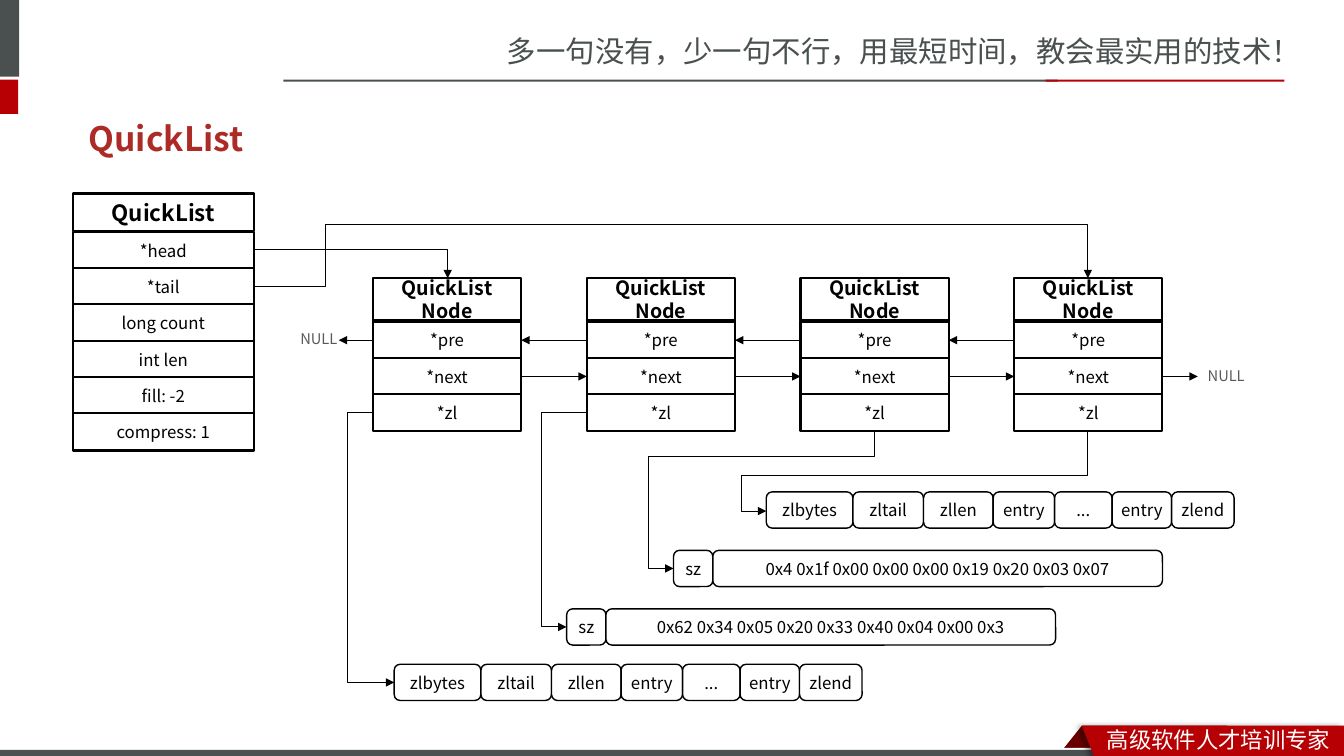
from dataclasses import dataclass
from itertools import accumulate, pairwise

from lxml import etree
from pptx import Presentation
from pptx.dml.color import RGBColor
from pptx.enum.shapes import MSO_CONNECTOR, MSO_SHAPE
from pptx.enum.text import MSO_ANCHOR, MSO_AUTO_SIZE, PP_ALIGN
from pptx.oxml.ns import qn
from pptx.util import Inches, Pt

RECT, ROUND, SLANT = MSO_SHAPE.RECTANGLE, MSO_SHAPE.ROUNDED_RECTANGLE, MSO_SHAPE.PARALLELOGRAM
STRAIGHT, ELBOW = MSO_CONNECTOR.STRAIGHT, MSO_CONNECTOR.ELBOW
LEFT, CENTER = PP_ALIGN.LEFT, PP_ALIGN.CENTER
MIDDLE, TOP = MSO_ANCHOR.MIDDLE, MSO_ANCHOR.TOP
SIDE_LEFT, SIDE_RIGHT = 1, 3

FONT = "Noto Sans CJK SC"
COLORS = {"ink": "000000", "paper": "FFFFFF", "slate": "49504F", "red": "B60004",
          "fold": "680000", "title": "AD2B26", "null": "595959"}
COLS, ROWS = 13.33, 7.5
UNIT = Inches(1)


@dataclass
class Box:
    x: float
    y: float
    w: float
    h: float

    def emu(self) -> list[int]:
        return [grid(v) for v in (self.x, self.y, self.w, self.h)]


@dataclass
class Style:
    size: float = 12
    color: str = "ink"
    bold: bool = False
    align: PP_ALIGN = CENTER


@dataclass
class Band:
    box: Box
    color: str
    kind: MSO_SHAPE = RECT


@dataclass
class Label:
    text: str
    box: Box
    style: Style


@dataclass
class Strip:
    x: float
    y: float
    widths: list[float]
    texts: list[str]


BOLD_HEAD, NODE_HEAD = Style(16, bold=True), Style(14, bold=True)
NULL = Style(10.5, "null", align=LEFT)

BANDS = [
    Band(Box(10.49, 7.2, 1.68, 0.3), "fold", SLANT),
    Band(Box(0, 7.42, COLS, 0.11), "paper"),
    Band(Box(-0.06, 0, 0.25, 0.76), "slate"),
    Band(Box(-0.06, 0.79, 0.24, 0.34), "red"),
    Band(Box(2.81, 0.79, 7.68, 0.02), "slate"),
    Band(Box(10.37, 0.79, 2.37, 0.02), "red"),
    Band(Box(0, 7.44, 10.99, 0.09), "slate"),
]
RIBBON = [(10.73, 7.2), (13.33, 7.2), (13.33, 7.54), (10.86, 7.53)]
LABELS = [
    Label("多一句没有，少一句不行，用最短时间，教会最实用的技术！", Box(4.93, 0.28, 8.41, 0.47),
          Style(21, "slate", align=LEFT)),
    Label("高级软件人才培训专家", Box(10.88, 7.15, 2.45, 0.37), Style(16, "paper", align=LEFT)),
    Label("NULL", Box(2.88, 3.22, 0.58, 0.28), NULL),
    Label("NULL", Box(11.88, 3.59, 0.58, 0.28), NULL),
]
LIST_ROWS = ["*head", "*tail", "long count", "int len", "fill: -2", "compress: 1"]
NODE_ROWS = ["*pre", "*next", "*zl"]
NODE_XS = [3.7 + 2.12 * i for i in range(4)]
ROW_H, ROW_STEP = 0.37, 0.36
ZL_WIDTHS = [0.86, 0.7, 0.69, 0.61, 0.57, 0.59, 0.62]
ZL_TEXTS = ["zlbytes", "zltail", "zllen", "entry", "...", "entry", "zlend"]
SZ_WIDTHS = [0.39, 4.46]
STRIPS = [
    Strip(7.6, 4.88, ZL_WIDTHS, ZL_TEXTS),
    Strip(3.91, 6.59, ZL_WIDTHS, ZL_TEXTS),
    Strip(6.68, 5.46, SZ_WIDTHS, ["sz", "0x4 0x1f 0x00 0x00 0x00 0x19 0x20 0x03 0x07"]),
    Strip(5.62, 6.04, SZ_WIDTHS, ["sz", "0x62 0x34 0x05 0x20 0x33 0x40 0x04 0x00 0x3"]),
]
ROUTES = [
    [(2.52, 2.48), (4.44, 2.48), (4.44, 2.76)],
    [(2.52, 2.84), (3.23, 2.84), (3.23, 2.23), (10.79, 2.23), (10.79, 2.76)],
    [(3.7, 4.09), (3.45, 4.09), (3.45, 6.77), (3.91, 6.77)],
    [(5.82, 4.09), (5.37, 4.09), (5.37, 6.22), (5.62, 6.22)],
    [(8.67, 4.28), (8.67, 4.53), (6.43, 4.53), (6.43, 5.64), (6.68, 5.64)],
    [(10.79, 4.27), (10.79, 4.72), (7.35, 4.72), (7.35, 5.07), (7.6, 5.07)],
]


def grid(n: float) -> int:
    return round(n * UNIT)


def rgb(name: str) -> RGBColor:
    return RGBColor.from_string(COLORS[name])


def write(tf, text: str, style: Style, anchor: MSO_ANCHOR) -> None:
    tf.word_wrap, tf.vertical_anchor = True, anchor
    for i, line in enumerate(text.split("\n")):
        p = tf.add_paragraph() if i else tf.paragraphs[0]
        p.alignment = style.align
        r = p.add_run()
        r.text = line
        r.font.size, r.font.bold, r.font.name = Pt(style.size), style.bold, FONT
        r.font.color.rgb = rgb(style.color)
        etree.SubElement(r.font._element, qn("a:ea"), typeface=FONT)


def paint(sp, color: str) -> None:
    sp.shadow.inherit = False
    sp.fill.solid()
    sp.fill.fore_color.rgb = rgb(color)
    sp.line.fill.background()


def draw_cell(s, text: str, box: Box, style: Style, kind: MSO_SHAPE = RECT, line: float = 1.5):
    sp = s.shapes.add_shape(kind, *box.emu())
    paint(sp, "paper")
    sp.line.color.rgb, sp.line.width = rgb("ink"), Pt(line)
    tf = sp.text_frame
    tf.margin_left = tf.margin_right = 0
    write(tf, text, style, MIDDLE)
    return sp


def draw_stack(s, head: str, box: Box, style: Style, first: float, rows: list[str]) -> list:
    cells = [draw_cell(s, head, box, style)]
    for i, text in enumerate(rows):
        cells.append(draw_cell(s, text, Box(box.x, first + ROW_STEP * i, box.w, ROW_H), Style()))
    return cells


def draw_strip(s, strip: Strip) -> None:
    for x, w, text in zip(accumulate(strip.widths, initial=strip.x), strip.widths, strip.texts):
        draw_cell(s, text, Box(x, strip.y, w, 0.36), Style(), ROUND, 1)


def draw_arrow(s, kind: MSO_CONNECTOR, start: tuple, end: tuple):
    cn = s.shapes.add_connector(kind, *[grid(v) for v in (*start, *end)])
    cn.line.color.rgb, cn.line.width = rgb("ink"), Pt(0.75)
    etree.SubElement(cn.line._get_or_add_ln(), qn("a:tailEnd"), type="triangle")
    etree.SubElement(cn._element.spPr, qn("a:effectLst"))
    return cn


def draw_route(s, points: list[tuple]) -> None:
    (x1, y1), (x2, y2) = start, end = points[0], points[-1]
    dx, dy = x2 - x1, y2 - y1
    downward = points[1][0] == x1
    if downward:
        cx, cy, w, h = (x1 + x2) / 2, (y1 + y2) / 2, abs(dy), abs(dx)
        start, end = (cx - w / 2, cy - h / 2), (cx + w / 2, cy + h / 2)
    cn = draw_arrow(s, ELBOW, start, end)
    sp_pr = cn._element.spPr
    if downward:
        sp_pr.find(qn("a:xfrm")).set("rot", "5400000")
    geom = sp_pr.find(qn("a:prstGeom"))
    geom.set("prst", f"bentConnector{len(points) - 1}")
    guides = geom.find(qn("a:avLst"))
    for i, (x, y) in enumerate(points[1:-2]):
        share = (y - y1) / dy if downward == (i % 2 == 0) else (x - x1) / dx
        etree.SubElement(guides, qn("a:gd"), name=f"adj{i + 1}", fmla=f"val {round(share * 100000)}")


def draw_ribbon(s) -> None:
    corners = [(grid(x), grid(y)) for x, y in RIBBON]
    fb = s.shapes.build_freeform(*corners[0])
    fb.add_line_segments(corners[1:], close=True)
    sp = fb.convert_to_shape()
    paint(sp, "red")
    effects = sp._element.spPr.find(qn("a:effectLst"))
    shadow = etree.SubElement(effects, qn("a:outerShdw"), blurRad=str(Pt(4)), dist=str(Pt(3)),
                              dir="10800000", rotWithShape="0")
    tint = etree.SubElement(shadow, qn("a:srgbClr"), val=COLORS["ink"])
    etree.SubElement(tint, qn("a:alpha"), val="40000")


def draw_null_link(s, cell, side: int, x: float) -> None:
    cn = draw_arrow(s, STRAIGHT, (x, 0), (x, 0))
    cn.begin_connect(cell, side)
    cn.end_y = cn.begin_y


def draw_links(s, nodes: list[list]) -> None:
    for a, b in pairwise(nodes):
        for row, tail, head, sides in ((1, b, a, (SIDE_LEFT, SIDE_RIGHT)),
                                       (2, a, b, (SIDE_RIGHT, SIDE_LEFT))):
            cn = draw_arrow(s, STRAIGHT, (0, 0), (1, 1))
            cn.begin_connect(tail[row], sides[0])
            cn.end_connect(head[row], sides[1])
    draw_null_link(s, nodes[0][1], SIDE_LEFT, 3.36)
    draw_null_link(s, nodes[-1][2], SIDE_RIGHT, 11.88)


def main() -> None:
    prs = Presentation()
    prs.slide_width, prs.slide_height = grid(COLS), grid(ROWS)
    s = prs.slides.add_slide(prs.slide_layouts[5])
    title = s.shapes.title
    title.left, title.top, title.width, title.height = Box(0.78, 1.16, 11.7, 0.42).emu()
    title.text_frame.auto_size = MSO_AUTO_SIZE.NONE
    write(title.text_frame, "QuickList", Style(24, "title", True, LEFT), MIDDLE)
    for band in BANDS:
        sp = s.shapes.add_shape(band.kind, *band.box.emu())
        paint(sp, band.color)
        if band.kind == SLANT:
            sp.adjustments[0] = 0.8
    draw_ribbon(s)
    for label in LABELS:
        write(s.shapes.add_textbox(*label.box.emu()).text_frame, label.text, label.style, TOP)
    draw_stack(s, "QuickList", Box(0.72, 1.92, 1.8, ROW_H), BOLD_HEAD, 2.3, LIST_ROWS)
    nodes = [draw_stack(s, "QuickList\nNode", Box(x, 2.76, 1.47, 0.42), NODE_HEAD, 3.19, NODE_ROWS)
             for x in NODE_XS]
    for strip in STRIPS:
        draw_strip(s, strip)
    draw_links(s, nodes)
    for route in ROUTES:
        draw_route(s, route)
    prs.save("out.pptx")


if __name__ == "__main__":
    main()
